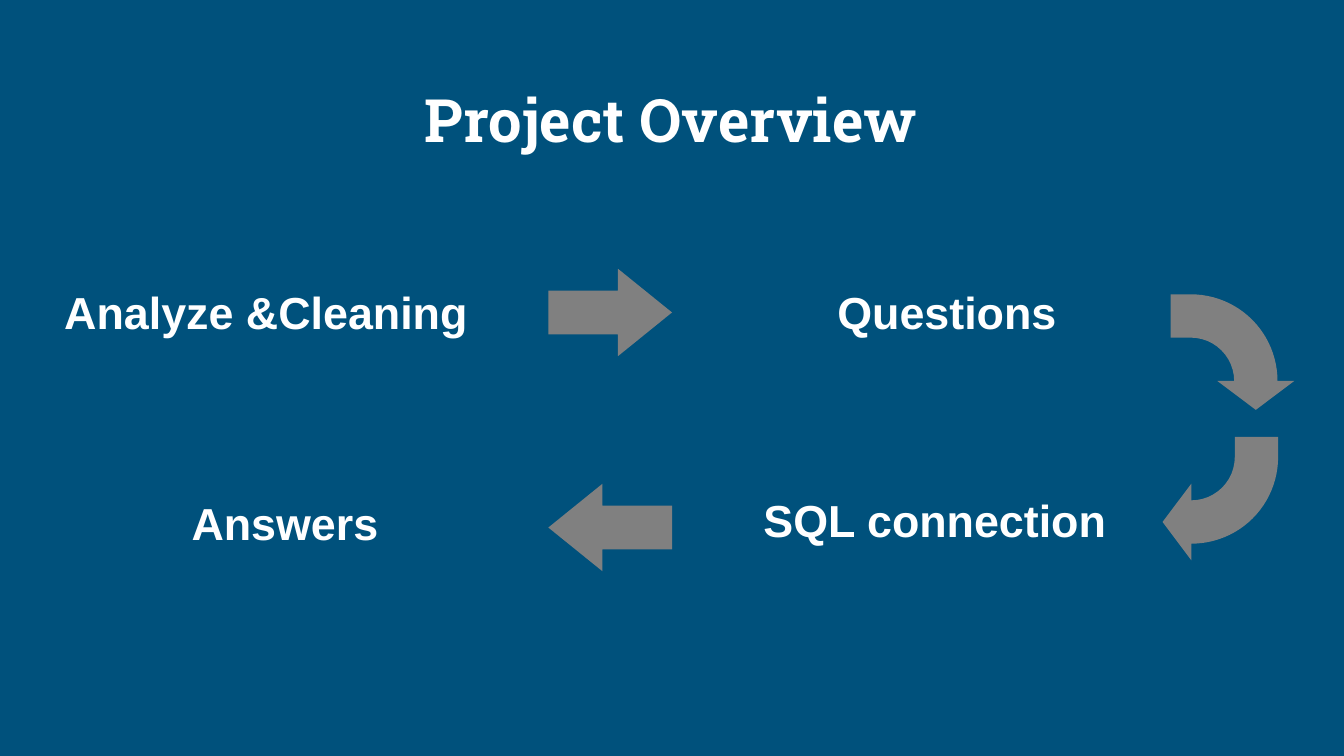
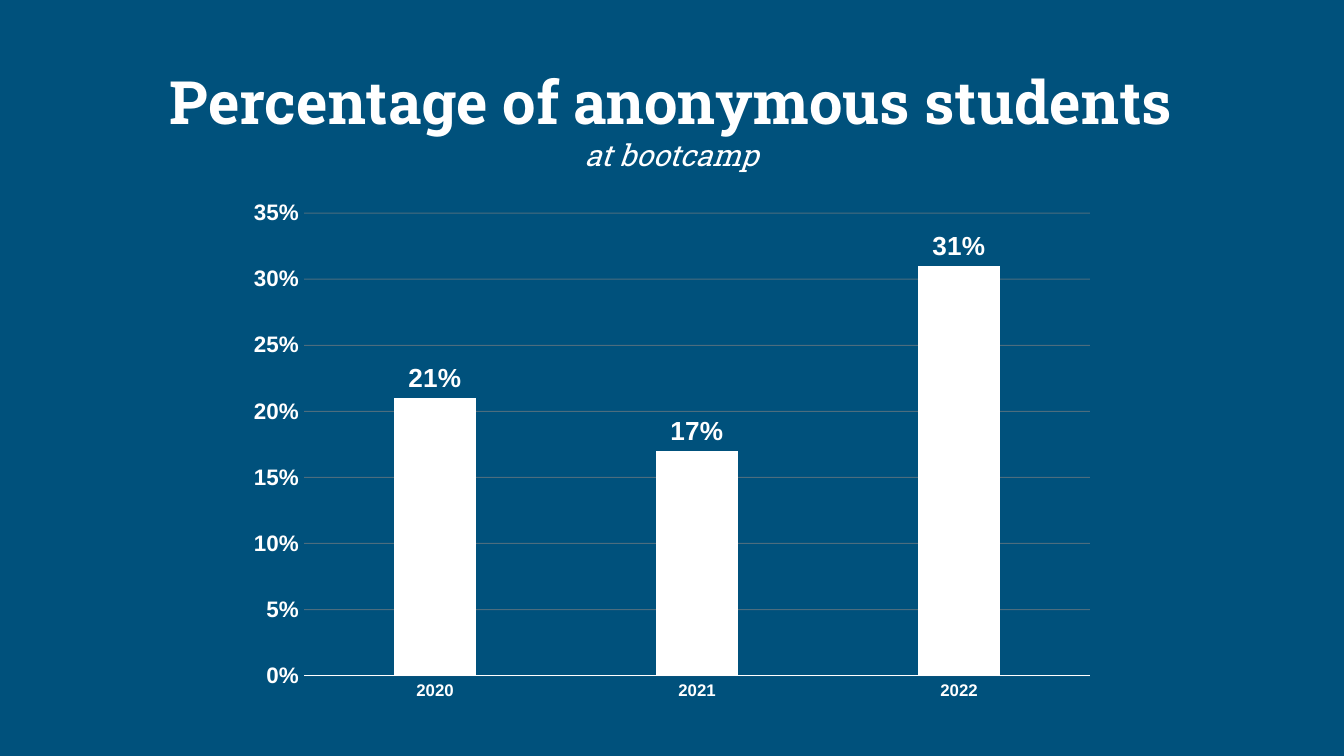
from lxml.etree import SubElement
from pptx import Presentation
from pptx.chart.data import CategoryChartData
from pptx.dml.color import RGBColor
from pptx.enum.chart import XL_CHART_TYPE, XL_LABEL_POSITION, XL_TICK_MARK
from pptx.enum.shapes import MSO_SHAPE
from pptx.enum.text import MSO_ANCHOR, PP_ALIGN
from pptx.oxml.ns import qn
from pptx.util import Inches, Pt

BLUE = RGBColor(0x00, 0x51, 0x7C)
WHITE = RGBColor(0xFF, 0xFF, 0xFF)
GRAY = RGBColor(0x80, 0x80, 0x80)
SLAB, SANS = "Roboto Slab", "Arial"
WIDE, HIGH = 10, 5.625
LEFT, MID = PP_ALIGN.LEFT, PP_ALIGN.CENTER

STEPS = [
    ("Analyze &Cleaning", 0.38, 2.07, 3.9, LEFT),
    ("Questions", 5.3, 2.07, 3.49, MID),
    ("SQL connection", 5.21, 3.62, 3.49, MID),
    ("Answers", 0.17, 3.64, 3.9, MID),
]
FLAT = (MSO_SHAPE.RIGHT_ARROW, 0.92, 0.65, (0.5, 0.618))
BENT = (MSO_SHAPE.BENT_ARROW, 0.86, 0.92, (0.375, 0.333, 0.25, 0.75))
ARROWS = [
    (FLAT, 4.08, 2, 0),
    (BENT, 8.74, 2.16, 90),
    (BENT, 8.65, 3.25, 180),
    (FLAT, 4.08, 3.6, 180),
]
SHARES = {"2020": 0.21, "2021": 0.17, "2022": 0.31}


def style(font, size, face=SANS, bold=True, slant=False):
    font.name, font.size = face, Pt(size)
    font.bold, font.italic = bold, slant
    font.color.rgb = WHITE


def write(slide, lines, box, align=MID, anchor=MSO_ANCHOR.TOP, pad=0.05):
    frame = slide.shapes.add_textbox(*map(Inches, box)).text_frame
    frame.word_wrap = True
    frame.vertical_anchor = anchor
    frame.margin_left = frame.margin_right = Inches(max(pad, 0.1))
    frame.margin_top = frame.margin_bottom = Inches(pad)
    for row, (text, look) in enumerate(lines):
        para = frame.add_paragraph() if row else frame.paragraphs[0]
        para.alignment = align
        run = para.add_run()
        run.text = text
        style(run.font, **look)


def page(deck, title, top, high, sub=None):
    slide = deck.slides.add_slide(deck.slide_layouts[6])
    slide.background.fill.solid()
    slide.background.fill.fore_color.rgb = BLUE
    lines = [(title, dict(size=32, face=SLAB))]
    if sub:
        lines.append((sub, dict(size=16, face=SLAB, bold=False, slant=True)))
    write(slide, lines, (0.42, top, 9.15, high), anchor=MSO_ANCHOR.BOTTOM, pad=0.1)
    return slide


def arrow(slide, kind, left, top, turn):
    form, wide, high, bends = kind
    shape = slide.shapes.add_shape(form, *map(Inches, (left, top, wide, high)))
    shape.rotation = turn
    for spot, bend in enumerate(bends):
        shape.adjustments[spot] = bend
    shape.shadow.inherit = False
    shape.fill.solid()
    shape.fill.fore_color.rgb = GRAY
    shape.line.fill.background()


def bars(slide):
    data = CategoryChartData(number_format="0%")
    data.categories = list(SHARES)
    data.add_series("Series 1", list(SHARES.values()))
    box = map(Inches, (1.76, 1.42, 6.48, 3.87))
    chart = slide.shapes.add_chart(XL_CHART_TYPE.COLUMN_CLUSTERED, *box, data).chart
    chart.has_legend = chart.has_title = False
    style(chart.font, 10, bold=False)

    plot = chart.plots[0]
    plot.gap_width, plot.overlap = 219, -27
    plot.vary_by_categories = False
    fill = plot.series[0].format.fill
    fill.solid()
    fill.fore_color.rgb = WHITE
    plot.has_data_labels = True
    tags = plot.data_labels
    tags.show_value = True
    tags.position = XL_LABEL_POSITION.OUTSIDE_END
    tags.number_format, tags.number_format_is_linked = "0%", False
    style(tags.font, 14)

    years, scale = chart.category_axis, chart.value_axis
    for axis, size in ((years, 9), (scale, 12)):
        axis.major_tick_mark = axis.minor_tick_mark = XL_TICK_MARK.NONE
        style(axis.tick_labels.font, size)
    years.has_major_gridlines = False
    years.format.line.color.rgb = WHITE
    years.format.line.width = Pt(0.75)
    scale.minimum_scale, scale.maximum_scale, scale.major_unit = 0, 0.35, 0.05
    scale.tick_labels.number_format = "0%"
    scale.tick_labels.number_format_is_linked = False
    scale.format.line.fill.background()
    scale.has_major_gridlines = True
    grid = scale.major_gridlines.format.line
    grid.color.rgb = GRAY
    grid.width = Pt(0.5)
    tint = scale.major_gridlines._xAx.find(".//" + qn("c:majorGridlines"))
    SubElement(tint.find(".//" + qn("a:srgbClr")), qn("a:alpha"), val="60000")


def main():
    deck = Presentation()
    deck.slide_width, deck.slide_height = Inches(WIDE), Inches(HIGH)
    flow = page(deck, "Project Overview", 0.5, 0.75)
    for text, left, top, wide, align in STEPS:
        write(flow, [(text, dict(size=24))], (left, top, wide, 0.5), align)
    for part in ARROWS:
        arrow(flow, *part)
    bars(page(deck, "Percentage of anonymous students", 0.04, 1.34, "at bootcamp"))
    deck.save("out.pptx")


if __name__ == "__main__":
    main()
